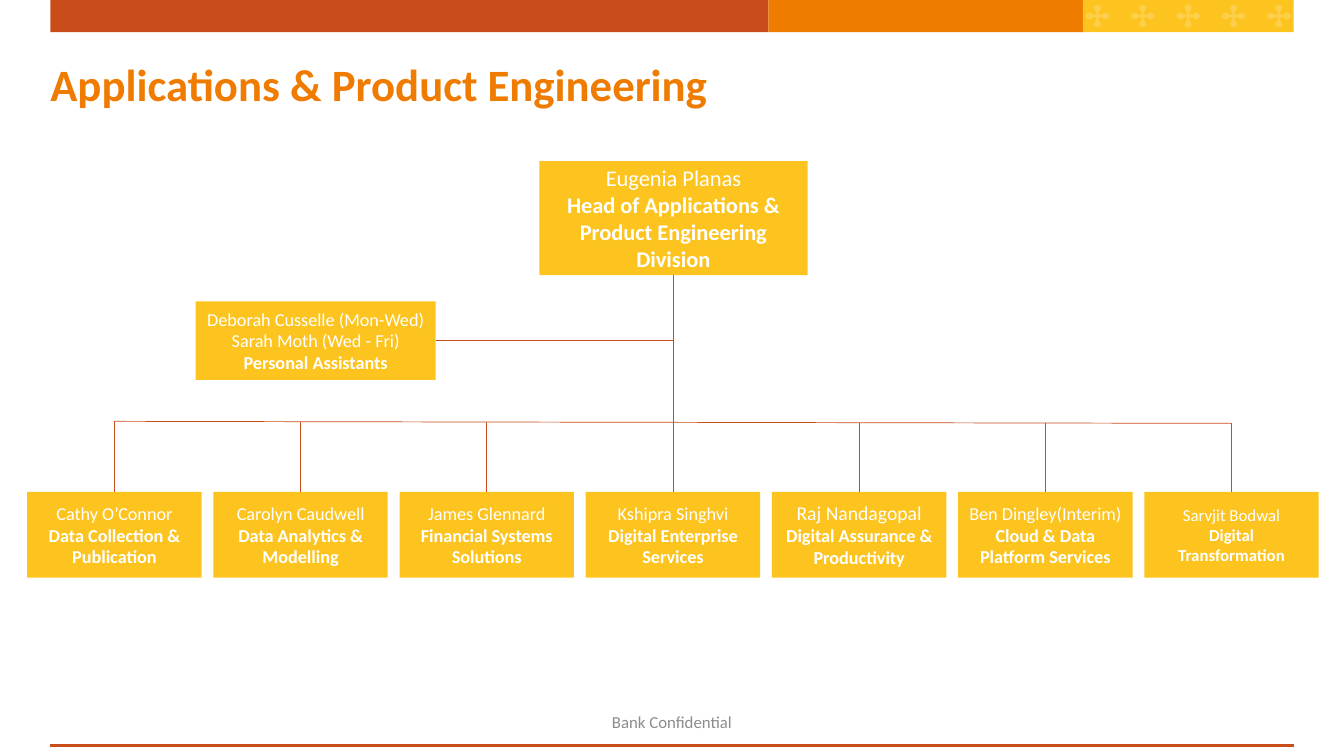
import math
from dataclasses import dataclass
from typing import NamedTuple

from lxml import etree
from pptx import Presentation
from pptx import util as u
from pptx.dml.color import RGBColor
from pptx.enum import shapes, text
from pptx.oxml import ns


@dataclass(frozen=True)
class Theme:
    """Colours, font and type sizes of the slide."""
    rust: str = "C94D1B"
    orange: str = "EF7B00"
    yellow: str = "FDC41F"
    white: str = "FFFFFF"
    grey: str = "8C8C8C"
    font: str = "Calibri"
    title: float = 32
    head: float = 16
    large: float = 14
    body: float = 13
    small: float = 12
    thin: float = 0.5
    rule: float = 2.25


class Box(NamedTuple):
    """Position and size in inches."""
    left: float
    top: float
    width: float
    height: float

    def lengths(self) -> list:
        """Return the four values as lengths."""
        return [u.Inches(value) for value in self]


class Line(NamedTuple):
    """One paragraph of text."""
    words: str
    size: float
    color: str
    bold: bool = False


class Leader(NamedTuple):
    """A team leader in the bottom row."""
    name: str
    role: str
    name_size: float
    role_size: float


THEME = Theme()
BANDS = [
    (Box(0.5, 0, 7.12, 0.32), THEME.rust),
    (Box(7.62, 0, 3.13, 0.32), THEME.orange),
    (Box(10.74, 0, 2.09, 0.32), THEME.yellow),
]
CROSS_COUNT, CROSS_LEFT, CROSS_MIDDLE, CROSS_PITCH = 5, 10.885, 0.16, 0.45
HEAD = Box(5.35, 1.6, 2.66, 1.13)
ASSISTANTS = Box(1.94, 2.99, 2.38, 0.78)
TEAM = Box(0.27, 4.88, 1.73, 0.85)
LAST_TEAM_LEFT = 11.35
BUS_START, BUS_END = 4.18, 4.2
LEADERS = [
    Leader("Cathy O’Connor", "Data Collection & Publication", THEME.body, THEME.body),
    Leader("Carolyn Caudwell", "Data Analytics & Modelling", THEME.body, THEME.body),
    Leader("James Glennard", "Financial Systems Solutions", THEME.body, THEME.body),
    Leader("Kshipra Singhvi", "Digital Enterprise Services", THEME.body, THEME.body),
    Leader("Raj Nandagopal", "Digital Assurance & Productivity", THEME.large, THEME.body),
    Leader("Ben Dingley(Interim)", "Cloud & Data Platform Services", THEME.body, THEME.body),
    Leader("Sarvjit Bodwal", "Digital Transformation", THEME.small, THEME.small),
]


def paint(shape, color: str) -> None:
    """Give a shape a flat fill without line or shadow."""
    shape.shadow.inherit = False
    shape.fill.solid()
    shape.fill.fore_color.rgb = RGBColor.from_string(color)
    shape.line.fill.background()


def write(shape, lines: list[Line], align=text.PP_ALIGN.CENTER) -> None:
    """Write lines into a shape, one paragraph each."""
    frame = shape.text_frame
    frame.word_wrap = True
    frame.vertical_anchor = text.MSO_ANCHOR.MIDDLE
    for index, line in enumerate(lines):
        paragraph = frame.add_paragraph() if index else frame.paragraphs[0]
        paragraph.alignment = align
        run = paragraph.add_run()
        run.text = line.words
        formats = {"name": THEME.font, "size": u.Pt(line.size), "bold": line.bold}
        for attribute, value in formats.items():
            setattr(run.font, attribute, value)
        run.font.color.rgb = RGBColor.from_string(line.color)


def add_block(slide, box: Box, color: str, lines: list[Line] = ()) -> None:
    """Draw a filled rectangle with optional text."""
    shape = slide.shapes.add_shape(shapes.MSO_SHAPE.RECTANGLE, *box.lengths())
    paint(shape, color)
    if lines:
        write(shape, lines)


def add_text(slide, box: Box, line: Line, align, margin: float) -> None:
    """Add one line of free text with equal side margins."""
    shape = slide.shapes.add_textbox(*box.lengths())
    for side in ("left", "right", "top", "bottom"):
        setattr(shape.text_frame, f"margin_{side}", u.Inches(margin))
    write(shape, [line], align)


def add_line(slide, start: tuple, end: tuple, width: float = THEME.thin) -> None:
    """Draw a straight connector between two points in inches."""
    points = [u.Inches(value) for value in (*start, *end)]
    connector = slide.shapes.add_connector(shapes.MSO_CONNECTOR.STRAIGHT, *points)
    connector.line.color.rgb = RGBColor.from_string(THEME.rust)
    connector.line.width = u.Pt(width)
    etree.SubElement(connector._element.spPr, ns.qn("a:effectLst"))


def cross_outline(center_x: float, center_y: float) -> list[tuple]:
    """Return the outline of a cross with four round ends."""
    half_arm, reach, radius = 0.013, 0.08, 0.033
    arm = [(half_arm, -half_arm)]
    for degrees in range(-156, 157, 12):
        angle = math.radians(degrees)
        arm.append((reach + radius * math.cos(angle), radius * math.sin(angle)))
    points = []
    for turn in range(4):
        cosine, sine = math.cos(turn * math.pi / 2), math.sin(turn * math.pi / 2)
        points += [(u.Inches(center_x + x * cosine - y * sine),
                    u.Inches(center_y + x * sine + y * cosine)) for x, y in arm]
    return points


def add_cross(slide, center_x: float, center_y: float) -> None:
    """Draw one translucent white cross."""
    start, *rest = cross_outline(center_x, center_y)
    builder = slide.shapes.build_freeform(*start)
    builder.add_line_segments(rest, close=True)
    shape = builder.convert_to_shape()
    paint(shape, THEME.white)
    color = shape._element.spPr.find(".//" + ns.qn("a:srgbClr"))
    etree.SubElement(color, ns.qn("a:alpha"), val="20000")


def add_frame(slide) -> None:
    """Draw the top band, title, footer and bottom rule."""
    for box, color in BANDS:
        add_block(slide, box, color)
    for index in range(CROSS_COUNT):
        add_cross(slide, CROSS_LEFT + index * CROSS_PITCH, CROSS_MIDDLE)
    add_line(slide, (0.5, 7.4), (12.83, 7.4), THEME.rule)
    title = Line("Applications & Product Engineering", THEME.title, THEME.orange, True)
    add_text(slide, Box(0.5, 0.33, 12.33, 1), title, text.PP_ALIGN.LEFT, 0)
    footer = Line("Bank Confidential", THEME.small, THEME.grey)
    add_text(slide, Box(3.33, 6.95, 6.67, 0.42), footer, text.PP_ALIGN.CENTER, 0.05)


def add_chart_tree(slide) -> None:
    """Draw the organisation tree."""
    trunk = HEAD.left + HEAD.width / 2
    steps = len(LEADERS) - 1
    pitch = (LAST_TEAM_LEFT - TEAM.left) / steps
    first = TEAM.left + TEAM.width / 2
    assistants_middle = ASSISTANTS.top + ASSISTANTS.height / 2
    add_line(slide, (trunk, HEAD.top + HEAD.height), (trunk, BUS_END))
    add_line(slide, (ASSISTANTS.left + ASSISTANTS.width, assistants_middle),
             (trunk, assistants_middle))
    add_line(slide, (first, BUS_START), (first + steps * pitch, BUS_END))
    add_block(slide, HEAD, THEME.yellow, [
        Line("Eugenia Planas", THEME.head, THEME.white),
        Line("Head of Applications & Product Engineering Division",
             THEME.head, THEME.white, True)])
    add_block(slide, ASSISTANTS, THEME.yellow, [
        Line("Deborah Cusselle (Mon-Wed)", THEME.body, THEME.white),
        Line("Sarah Moth (Wed - Fri)", THEME.body, THEME.white),
        Line("Personal Assistants", THEME.body, THEME.white, True)])
    for index, leader in enumerate(LEADERS):
        center = first + index * pitch
        bus = BUS_START + (BUS_END - BUS_START) * index / steps
        add_line(slide, (center, bus), (center, TEAM.top))
        add_block(slide, TEAM._replace(left=TEAM.left + index * pitch), THEME.yellow, [
            Line(leader.name, leader.name_size, THEME.white),
            Line(leader.role, leader.role_size, THEME.white, True)])


presentation = Presentation()
presentation.slide_width, presentation.slide_height = u.Inches(13.33), u.Inches(7.5)
org_slide = presentation.slides.add_slide(presentation.slide_layouts[6])
add_frame(org_slide)
add_chart_tree(org_slide)
presentation.save("out.pptx")
